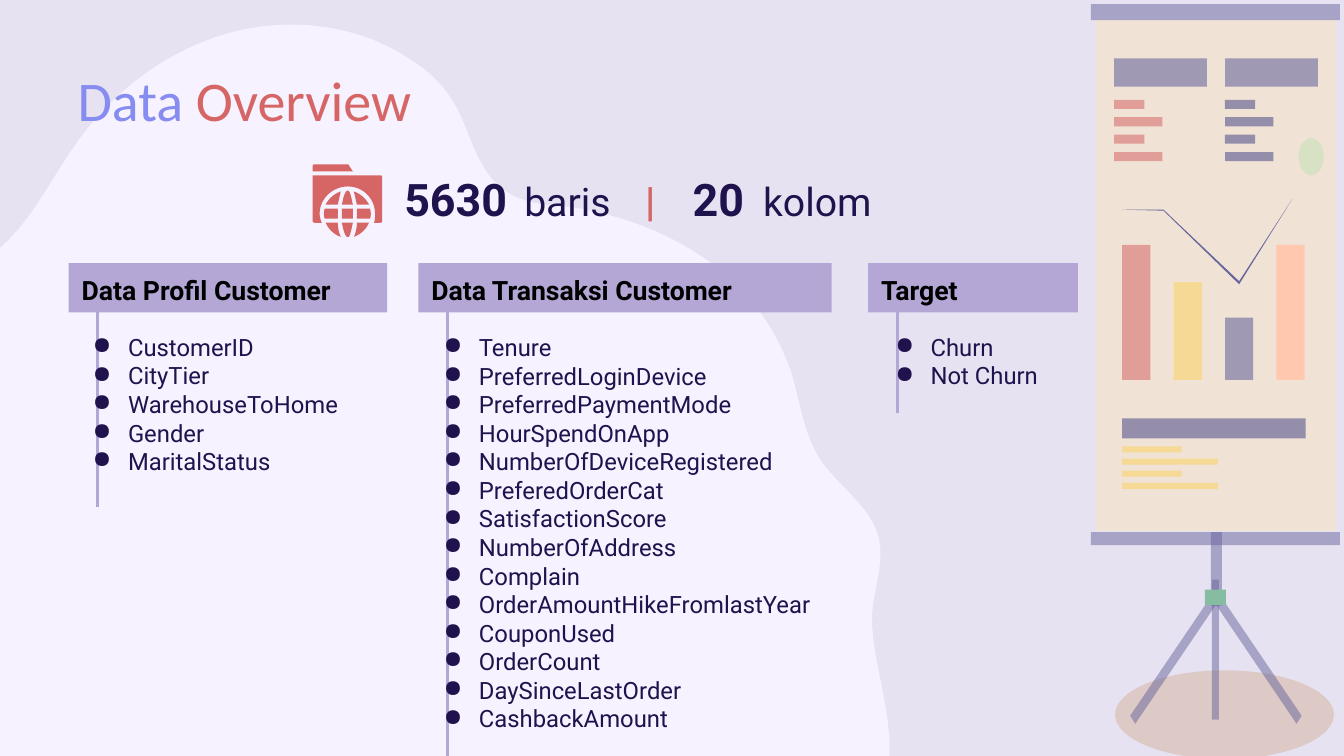
from lxml import etree
from pptx import Presentation
from pptx.dml.color import RGBColor
from pptx.enum import shapes, text
from pptx.oxml.ns import qn
from pptx.util import Inches, Pt

LAVENDER = RGBColor(0xE7, 0xE2, 0xF2)
PALE = RGBColor(0xF6, 0xF2, 0xFF)
PERIWINKLE = RGBColor(0x87, 0x8C, 0xF0)
RED = RGBColor(0xD6, 0x65, 0x65)
NAVY = RGBColor(0x20, 0x12, 0x4D)
LILAC = RGBColor(0xB4, 0xA7, 0xD6)
BLACK = RGBColor(0, 0, 0)
BROWN = RGBColor(0xB4, 0x5F, 0x06)
SLATE = RGBColor(0x67, 0x65, 0x9C)
DARK_SLATE = RGBColor(0x56, 0x54, 0x8C)
GREEN = RGBColor(0x85, 0xBC, 0xA2)
MINT = RGBColor(0x9F, 0xE0, 0xC2)
CREAM = RGBColor(0xF6, 0xE2, 0xC6)
YELLOW = RGBColor(0xFB, 0xD1, 0x5B)
PEACH = RGBColor(0xFF, 0xC8, 0xAF)

RECT = shapes.MSO_SHAPE.RECTANGLE
OVAL = shapes.MSO_SHAPE.OVAL
MARGIN = Inches(0.13)
CURVE_STEPS = 12

deck = Presentation()
deck.slide_width, deck.slide_height = Inches(13.33), Inches(7.5)
page = deck.slides.add_slide(deck.slide_layouts[6])
page.background.fill.solid()
page.background.fill.fore_color.rgb = LAVENDER


def draw(form, color, opacity=100):
    """Draw a preset (kind, left, top, width, height), or an outline given as a
    list of points in which six numbers stand for a Bezier curve."""
    if isinstance(form, tuple):
        kind, *place = form
        shape = page.shapes.add_shape(kind, *map(Inches, place))
    else:
        points = [form[0]]
        for step in form[1:]:
            if len(step) == 2:
                points.append(step)
                continue
            controls = [points[-1], step[:2], step[2:4], step[4:]]
            for i in range(1, CURVE_STEPS + 1):
                t = i / CURVE_STEPS
                weights = ((1 - t) ** 3, 3 * t * (1 - t) ** 2, 3 * t * t * (1 - t), t ** 3)
                points.append(tuple(sum(w * c[axis] for w, c in zip(weights, controls))
                                    for axis in (0, 1)))
        points = [(Inches(x), Inches(y)) for x, y in points]
        builder = page.shapes.build_freeform(*points[0], scale=1.0)
        builder.add_line_segments(points[1:], close=True)
        shape = builder.convert_to_shape()
    shape.shadow.inherit = False
    shape.line.fill.background()
    shape.fill.solid()
    shape.fill.fore_color.rgb = color
    if opacity < 100:
        tint = shape._element.spPr.find(qn("a:solidFill"))[0]
        etree.SubElement(tint, qn("a:alpha"), val=str(opacity * 1000))
    return shape


def write(box, lines, anchor=text.MSO_ANCHOR.TOP, spacing=None, bullet=None, tabs=()):
    """Fill a box with lines, each a list of (text, size, font, color, bold)."""
    frame = box.text_frame
    settings = {"word_wrap": True, "vertical_anchor": anchor, "margin_left": MARGIN,
                "margin_right": MARGIN, "margin_top": MARGIN, "margin_bottom": MARGIN}
    for name, value in settings.items():
        setattr(frame, name, value)
    for number, line in enumerate(lines):
        para = frame.add_paragraph() if number else frame.paragraphs[0]
        para.alignment = text.PP_ALIGN.LEFT
        if spacing:
            para.line_spacing = spacing
        props = para._p.get_or_add_pPr()
        if bullet:
            props.set("marL", str(Inches(0.5)))
            props.set("indent", str(Inches(-0.35)))
            tint = etree.SubElement(props, qn("a:buClr"))
            etree.SubElement(tint, qn("a:srgbClr"), val=str(NAVY))
            etree.SubElement(props, qn("a:buChar"), char=bullet)
        if tabs:
            stops = etree.SubElement(props, qn("a:tabLst"))
            for stop in tabs:
                etree.SubElement(stops, qn("a:tab"), pos=str(Inches(stop)), algn="l")
        for words, size, font, color, bold in line:
            span = para.add_run()
            span.text = words
            for name, value in {"size": Pt(size), "name": font, "bold": bold}.items():
                setattr(span.font, name, value)
            span.font.color.rgb = color


# Background blob
draw([(-2.35, 7.75), (-2.61, 7.2, -2.67, 6.57, -2.56, 5.97),
      (-2.51, 5.66, -2.4, 5.34, -2.25, 5.07), (-2.11, 4.8, -1.92, 4.56, -1.91, 4.25),
      (-1.89, 3.95, -2.04, 3.63, -1.92, 3.34), (-1.69, 2.82, -0.88, 2.89, -0.43, 2.72),
      (0.21, 2.48, 0.41, 1.9, 0.78, 1.39), (1.15, 0.88, 1.69, 0.48, 2.3, 0.32),
      (2.9, 0.16, 3.59, 0.25, 4.1, 0.61), (4.36, 0.78, 4.51, 0.98, 4.62, 1.27),
      (4.71, 1.49, 4.79, 1.72, 4.97, 1.86), (5.19, 2.05, 5.49, 2.03, 5.76, 2.07),
      (6.36, 2.18, 6.96, 2.45, 7.38, 2.9), (7.58, 3.12, 7.74, 3.39, 7.84, 3.67),
      (7.93, 3.95, 7.96, 4.26, 8.11, 4.52), (8.26, 4.77, 8.52, 4.93, 8.66, 5.19),
      (8.84, 5.52, 8.63, 5.85, 8.65, 6.2), (8.67, 6.75, 9.05, 7.56, 8.62, 8.04),
      (8.44, 8.24, 8.22, 8.2, 7.98, 8.17), (7.67, 8.14, 7.33, 8.09, 7.05, 7.97),
      (6.6, 7.8, 6.2, 7.63, 5.3, 7.64)], PALE)

# Title and row and column counts
title = page.shapes.add_textbox(*map(Inches, (0.64, 0.65, 12.24, 0.83)))
write(title, [[("Data ", 40, "Calibri", PERIWINKLE, False),
               ("Overview", 40, "Calibri", RED, False)]], spacing=0.8)
counts = page.shapes.add_textbox(*map(Inches, (3.88, 1.57, 5.56, 0.83)))
write(counts, [[("5630", 32, "Roboto", NAVY, True), ("\tbaris", 28, "Roboto", NAVY, False),
                ("\t|", 29, "Roboto", RED, True), ("\t20", 32, "Roboto", NAVY, True),
                ("\tkolom", 28, "Roboto", NAVY, False)]], tabs=(1.19, 2.39, 2.86, 3.56))

# Columns: heading, left, width, stem end, list left, list width, list height, fields
columns = [
    ("Data Profil Customer", 0.68, 3.16, 5.03, 0.64, 3.77, 1.73,
     ["CustomerID", "CityTier", "WarehouseToHome", "Gender", "MaritalStatus"]),
    ("Data Transaksi Customer", 4.15, 4.1, 7.61, 4.12, 4.32, 5.49,
     ["Tenure", "PreferredLoginDevice", "PreferredPaymentMode", "HourSpendOnApp",
      "NumberOfDeviceRegistered", "PreferedOrderCat", "SatisfactionScore",
      "NumberOfAddress", "Complain", "OrderAmountHikeFromlastYear", "CouponUsed",
      "OrderCount", "DaySinceLastOrder", "CashbackAmount"]),
    ("Target", 8.61, 2.08, 4.1, 8.6, 2.08, 0.84, ["Churn", "Not Churn"]),
]
for heading, left, width, stem_end, list_left, list_width, list_height, fields in columns:
    stem_x = Inches(left + 0.29)
    stem = page.shapes.add_connector(shapes.MSO_CONNECTOR.STRAIGHT, stem_x, Inches(stem_end),
                                     stem_x, Inches(2.95))
    stem.line.color.rgb = LILAC
    stem.line.width = Pt(2.25)
    etree.SubElement(stem._element.spPr, qn("a:effectLst"))
    header = draw((RECT, left, 2.61, width, 0.49), LILAC)
    write(header, [[(heading, 19, "Roboto", BLACK, True)]],
          anchor=text.MSO_ANCHOR.MIDDLE, spacing=1.15)
    listing = page.shapes.add_textbox(*map(Inches, (list_left, 3.17, list_width, list_height)))
    write(listing, [[(field, 17, "Roboto", NAVY, False)] for field in fields], bullet="●")

# Folder with globe: tab, body, then globe pieces
icon = [
    [(3.12, 1.63), (3.11, 1.63, 3.1, 1.64, 3.1, 1.65), (3.1, 1.7), (3.5, 1.7), (3.46, 1.64),
     (3.46, 1.63, 3.45, 1.63, 3.45, 1.63)],
    [(3.1, 1.74), (3.1, 2.19), (3.1, 2.2, 3.11, 2.21, 3.12, 2.21), (3.19, 2.21),
     (3.18, 2.18, 3.17, 2.15, 3.17, 2.12), (3.17, 1.97, 3.3, 1.85, 3.45, 1.85),
     (3.6, 1.85, 3.72, 1.97, 3.72, 2.12), (3.72, 2.15, 3.72, 2.18, 3.71, 2.21),
     (3.77, 2.21), (3.79, 2.21, 3.79, 2.2, 3.79, 2.19), (3.79, 1.76),
     (3.79, 1.75, 3.79, 1.74, 3.77, 1.74)],
    [(3.39, 2.21), (3.4, 2.25, 3.41, 2.32, 3.44, 2.35), (3.46, 2.35),
     (3.48, 2.32, 3.49, 2.25, 3.5, 2.21)],
    [(3.45, 1.89), (3.41, 1.9, 3.4, 2, 3.39, 2.03), (3.5, 2.03),
     (3.49, 2, 3.48, 1.9, 3.45, 1.89)],
    [(3.39, 2.07), (3.39, 2.11, 3.39, 2.14, 3.39, 2.17), (3.5, 2.17),
     (3.5, 2.14, 3.5, 2.11, 3.5, 2.07)],
]
globe_left = [
    [(3.23, 2.21), (3.26, 2.28, 3.32, 2.33, 3.38, 2.35), (3.36, 2.31, 3.35, 2.25, 3.35, 2.21)],
    [(3.38, 1.9), (3.32, 1.92, 3.26, 1.97, 3.23, 2.03), (3.35, 2.03),
     (3.36, 1.99, 3.37, 1.94, 3.38, 1.9)],
    [(3.22, 2.07), (3.21, 2.11, 3.21, 2.14, 3.22, 2.17), (3.35, 2.17),
     (3.35, 2.14, 3.35, 2.11, 3.35, 2.07)],
]
globe_right = [[tuple(n if i % 2 else 6.89 - n for i, n in enumerate(step)) for step in piece]
               for piece in globe_left]
for piece in icon + globe_left + globe_right:
    draw(piece, RED)

# Easel: floor shade, legs, post, clamp
draw((OVAL, 11.06, 6.65, 2.17, 0.88), BROWN, 19)
leg = [(12.03, 5.89), (11.21, 7.1), (11.26, 7.18), (12.08, 5.97)]
draw(leg, SLATE, 50)
draw([(24.12 - x, y) for x, y in leg], SLATE, 50)
draw((RECT, 12.02, 5.75, 0.07, 1.39), SLATE, 50)
draw((RECT, 12.01, 5.28, 0.11, 0.73), SLATE, 50)
draw((RECT, 11.95, 5.85, 0.21, 0.15), GREEN)

# Board with its rails
draw((OVAL, 12.88, 1.37, 0.25, 0.37), MINT)
draw((RECT, 10.87, 0.2, 2.38, 5.07), CREAM, 65)
draw((RECT, 10.82, 5.28, 2.47, 0.13), SLATE, 50)
draw((RECT, 10.82, 0.04, 2.47, 0.16), SLATE, 50)

# Text blocks on the board
for left, color, opacity in ((11.05, RED, 54), (12.15, DARK_SLATE, 59)):
    draw((RECT, left, 0.58, 0.92, 0.28), SLATE, 58)
    for row in range(4):
        draw((RECT, left, 0.99 + 0.173 * row, (0.3, 0.48)[row % 2], 0.09), color, opacity)
draw((RECT, 11.13, 4.15, 1.82, 0.2), DARK_SLATE, 59)
for row in range(4):
    draw((RECT, 11.13, 4.43 + 0.12 * row, (0.59, 0.95)[row % 2], 0.06), YELLOW, 52)

# Bars and trend line on the board
bars = [(1.34, RED, 54), (0.97, YELLOW, 52), (0.62, SLATE, 58), (1.34, PEACH, 100)]
for number, (height, color, opacity) in enumerate(bars):
    draw((RECT, 11.13 + 0.51 * number, 3.77 - height, 0.28, height), color, opacity)
draw([(12.82, 1.97), (12.29, 2.79), (11.54, 2.08), (11.13, 2.08), (11.54, 2.09),
      (12.29, 2.82)], SLATE)

deck.save("out.pptx")
